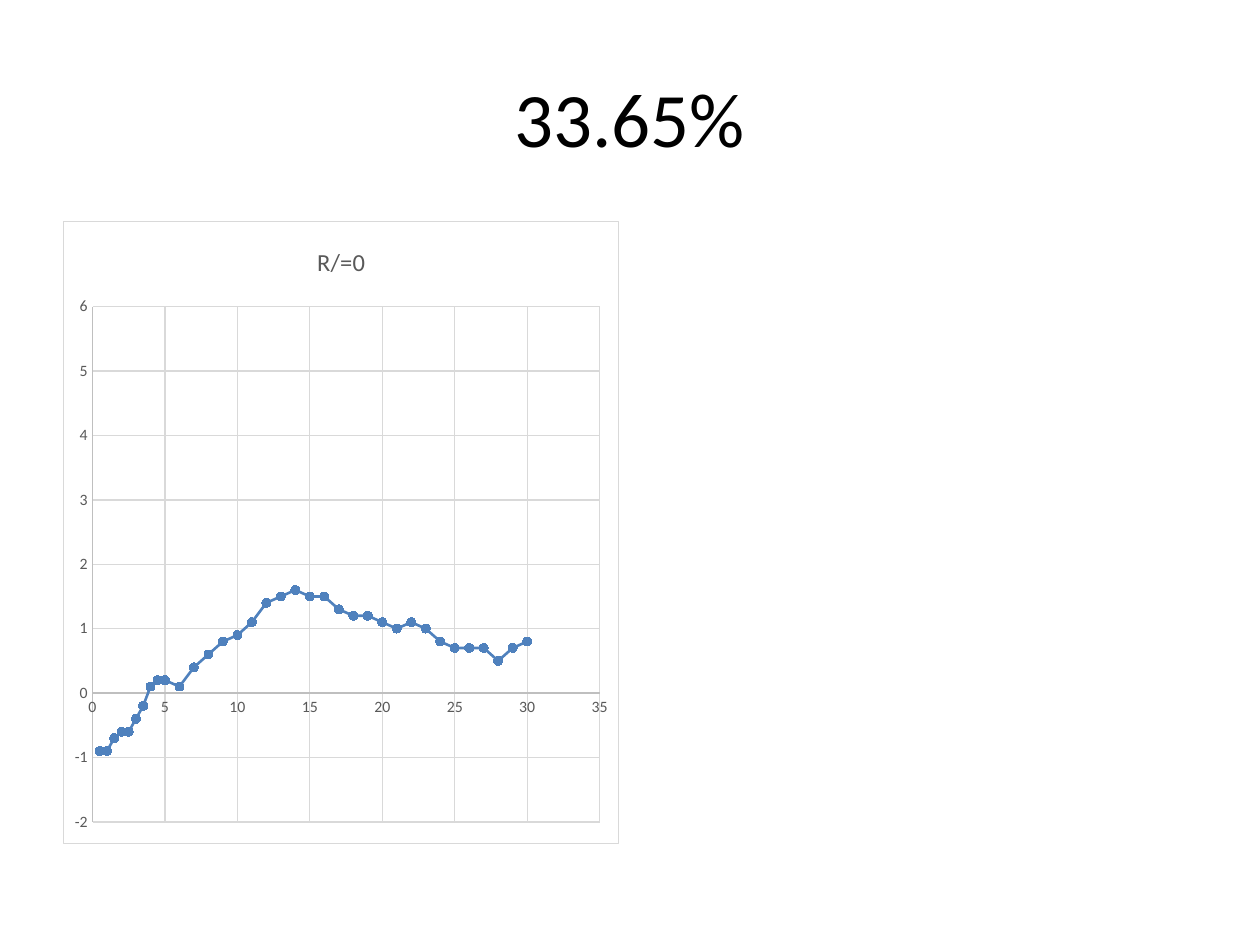
"""Build a slide with a percentage title and a smooth scatter chart."""
from lxml.etree import fromstring
from pptx import Presentation
from pptx.chart.data import XyChartData
from pptx.dml.color import RGBColor
from pptx.enum.chart import XL_CHART_TYPE, XL_MARKER_STYLE, XL_TICK_MARK
from pptx.enum.text import MSO_ANCHOR, PP_ALIGN
from pptx.oxml.ns import nsdecls
from pptx.util import Pt

TITLE = "33.65%"
CHART_TITLE = "R/=0"
X_VALUES = [step / 2 for step in range(1, 10)] + list(range(5, 31))
Y_VALUES = [
    -0.9, -0.9, -0.7, -0.6, -0.6, -0.4, -0.2, 0.1, 0.2,
    0.2, 0.1, 0.4, 0.6, 0.8, 0.9, 1.1, 1.4, 1.5, 1.6, 1.5, 1.5, 1.3, 1.2,
    1.2, 1.1, 1, 1.1, 1, 0.8, 0.7, 0.7, 0.7, 0.5, 0.7, 0.8,
]
X_SCALE = (0, 35, 5)
Y_SCALE = (-2, 6, 1)

FONT = "Calibri"
BLACK = RGBColor(0x00, 0x00, 0x00)
WHITE = RGBColor(0xFF, 0xFF, 0xFF)
GRAY = RGBColor(0x59, 0x59, 0x59)
AXIS_GRAY = RGBColor(0xBF, 0xBF, 0xBF)
GRID_GRAY = RGBColor(0xD9, 0xD9, 0xD9)
BLUE = RGBColor(0x4F, 0x81, 0xBD)


def style_font(font, size, color):
    font.name = FONT
    font.size = Pt(size)
    font.bold = False
    font.color.rgb = color


def style_line(line, color, width):
    line.color.rgb = color
    line.width = Pt(width)


def style_axis(axis, scale):
    axis.minimum_scale, axis.maximum_scale, axis.major_unit = scale
    axis.major_tick_mark = axis.minor_tick_mark = XL_TICK_MARK.NONE
    axis.has_major_gridlines = True
    style_line(axis.major_gridlines.format.line, GRID_GRAY, 0.75)
    style_line(axis.format.line, AXIS_GRAY, 0.75)
    style_font(axis.tick_labels.font, 9, GRAY)
    axis.tick_labels.number_format = "General"
    axis.tick_labels.number_format_is_linked = False


def frame_chart(chart):
    frame = fromstring(
        f'<c:spPr {nsdecls("c", "a")}>'
        f'<a:solidFill><a:srgbClr val="{WHITE}"/></a:solidFill>'
        f'<a:ln w="{Pt(0.75)}"><a:solidFill><a:srgbClr val="{GRID_GRAY}"/>'
        "</a:solidFill></a:ln></c:spPr>"
    )
    chart.element.find("c:chart", chart.element.nsmap).addnext(frame)


def add_title(slide):
    title = slide.shapes.title
    title.left, title.top, title.width, title.height = Pt(36), Pt(21.6), Pt(648), Pt(90)
    title.text_frame.text = TITLE
    title.text_frame.vertical_anchor = MSO_ANCHOR.MIDDLE
    paragraph = title.text_frame.paragraphs[0]
    paragraph.alignment = PP_ALIGN.CENTER
    style_font(paragraph.runs[0].font, 44, BLACK)


def add_scatter_chart(slide):
    data = XyChartData()
    points = data.add_series("Series 1")
    for x_value, y_value in zip(X_VALUES, Y_VALUES):
        points.add_data_point(x_value, y_value)
    chart = slide.shapes.add_chart(
        XL_CHART_TYPE.XY_SCATTER_SMOOTH, Pt(36), Pt(126), Pt(318), Pt(356.4), data
    ).chart
    style_font(chart.font, 10, BLACK)
    chart.has_legend = False
    chart.has_title = True
    chart.chart_title.include_in_layout = False
    chart.chart_title.text_frame.text = CHART_TITLE
    style_font(chart.chart_title.text_frame.paragraphs[0].runs[0].font, 14, GRAY)
    style_axis(chart.category_axis, X_SCALE)
    style_axis(chart.value_axis, Y_SCALE)

    plot = chart.plots[0]
    plot.vary_by_categories = False
    series = plot.series[0]
    series.smooth = True
    style_line(series.format.line, BLUE, 1.5)
    series.marker.style = XL_MARKER_STYLE.CIRCLE
    series.marker.size = 5
    series.marker.format.fill.solid()
    series.marker.format.fill.fore_color.rgb = BLUE
    style_line(series.marker.format.line, BLUE, 0.75)
    frame_chart(chart)


def main():
    presentation = Presentation()
    presentation.slide_width, presentation.slide_height = Pt(720), Pt(540)
    slide = presentation.slides.add_slide(presentation.slide_layouts[5])
    add_title(slide)
    add_scatter_chart(slide)
    presentation.save("out.pptx")


if __name__ == "__main__":
    main()
